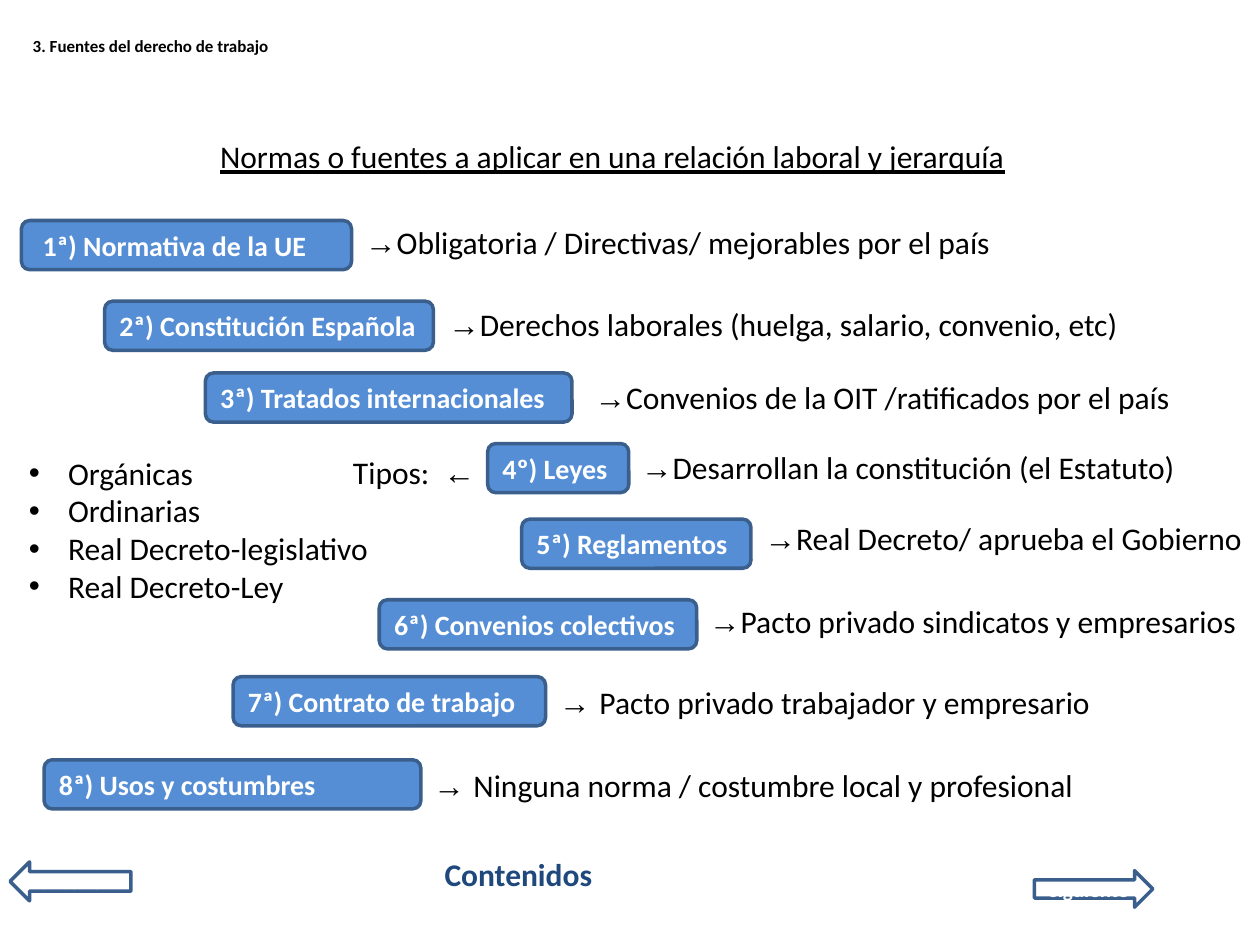
import pptx
import pptx.util
import pptx.dml.color
import pptx.enum.shapes
import pptx.enum.text
import lxml.etree

Inches = pptx.util.Inches
Pt = pptx.util.Pt
SHAPES = pptx.enum.shapes.MSO_SHAPE
ANCHOR = pptx.enum.text.MSO_ANCHOR
ALIGN = pptx.enum.text.PP_ALIGN

COLORS = {"box": "558ED5", "outline": "3A5F8C", "light": "FFFFFF",
          "text": "000000", "contents": "1F497D"}


def write(shape, parts, size, color, bold=False, align=ALIGN.LEFT, anchor=ANCHOR.TOP):
    """Fill the first paragraph with (text, font) runs."""
    frame = shape.text_frame
    frame.word_wrap = True
    frame.vertical_anchor = anchor
    paragraph = frame.paragraphs[0]
    paragraph.alignment = align
    for text, font in parts:
        run = paragraph.add_run()
        run.text = text
        run.font.name = font
        run.font.size = Pt(size)
        run.font.bold = bold
        run.font.color.rgb = pptx.dml.color.RGBColor.from_string(COLORS[color])
    return paragraph


def add_outlined(slide, kind, position, fill=None):
    """Add a preset shape with the common outline."""
    shape = slide.shapes.add_shape(kind, *map(Inches, position))
    shape.shadow.inherit = False
    if fill:
        shape.fill.solid()
        shape.fill.fore_color.rgb = pptx.dml.color.RGBColor.from_string(COLORS[fill])
    else:
        shape.fill.background()
    shape.line.color.rgb = pptx.dml.color.RGBColor.from_string(COLORS["outline"])
    shape.line.width = Pt(2)
    return shape


presentation = pptx.Presentation()
presentation.slide_width = Inches(10)
presentation.slide_height = Inches(7.5)
slide = presentation.slides.add_slide(presentation.slide_layouts[1])

# Section title
title = slide.shapes.title
title.left, title.top, title.width, title.height = map(Inches, (0.16, 0.05, 9, 0.63))
write(title, [("3. Fuentes del derecho de trabajo", "Calibri")], 9.7, "text",
      bold=True, anchor=ANCHOR.MIDDLE)

# Heading
heading = slide.shapes.add_textbox(*map(Inches, (1.53, 1.04, 6.66, 0.7)))
paragraph = write(heading, [("Normas o fuentes a aplicar en una relación laboral y jerarquía",
                             "Calibri")], 18, "text", align=ALIGN.CENTER)
paragraph.runs[0].font.underline = True

# Hierarchy: box label, left, top, width; description, left, top, width
norms = [
    (" 1ª) Normativa de la UE", 0.17, 1.75, 2.62,
     "→", "Obligatoria / Directivas/ mejorables por el país", 2.8, 1.72, 6.28),
    ("2ª) Constitución Española", 0.83, 2.39, 2.61,
     "→", "Derechos laborales (huelga, salario, convenio, etc)", 3.46, 2.37, 5.62),
    ("3ª) Tratados internacionales", 1.63, 2.96, 2.91,
     "→", "Convenios de la OIT /ratificados por el país", 4.62, 2.95, 4.95),
    ("4º) Leyes", 3.87, 3.52, 1.12,
     "→", "Desarrollan la constitución (el Estatuto)", 4.99, 3.51, 4.73),
    ("5ª) Reglamentos", 4.14, 4.12, 1.82,
     "→", "Real Decreto/ aprueba el Gobierno", 5.97, 4.07, 4.29),
    ("6ª) Convenios colectivos", 3.01, 4.76, 2.52,
     "→", "Pacto privado sindicatos y empresarios", 5.53, 4.73, 4.54),
    ("7ª) Contrato de trabajo", 1.85, 5.37, 2.48,
     "→ ", "Pacto privado trabajador y empresario", 4.34, 5.37, 4.54),
    ("8ª) Usos y costumbres", 0.35, 6.03, 2.99,
     "→ ", "Ninguna norma / costumbre local y profesional", 3.34, 6.03, 5.91),
]
for label, left, top, width, arrow, text, text_left, text_top, text_width in norms:
    box = add_outlined(slide, SHAPES.ROUNDED_RECTANGLE, (left, top, width, 0.39), "box")
    write(box, [(label, "Calibri")], 16, "light", bold=True, anchor=ANCHOR.MIDDLE)
    description = slide.shapes.add_textbox(*map(Inches, (text_left, text_top, text_width, 0.7)))
    write(description, [(arrow, "Arial"), (text, "Calibri")], 18, "text")

# Types of laws
law_types = slide.placeholders[1]
law_types.left, law_types.top, law_types.width, law_types.height = map(
    Inches, (0.13, 3.55, 3.74, 1.9))
frame = law_types.text_frame
frame.text = "Orgánicas\nOrdinarias\nReal Decreto-legislativo\nReal Decreto-Ley"
frame.auto_size = pptx.enum.text.MSO_AUTO_SIZE.NONE
for paragraph in frame.paragraphs:
    paragraph.space_before = Pt(0)
    paragraph.font.size = Pt(18)
    paragraph.runs[0].font.size = Pt(18)
    paragraph.runs[0].font.name = "Calibri"
    paragraph.runs[0].font.color.rgb = pptx.dml.color.RGBColor.from_string(COLORS["text"])
    properties = paragraph._p.get_or_add_pPr()
    properties.set("marL", str(Inches(0.31)))
    properties.set("indent", str(-Inches(0.31)))
    for tag, name, value in (("buFont", "typeface", "Arial"), ("buChar", "char", "•")):
        bullet = lxml.etree.Element(pptx.oxml.ns.qn("a:" + tag))
        bullet.set(name, value)
        properties.insert_element_before(bullet, "a:tabLst", "a:defRPr", "a:extLst")

types_label = slide.shapes.add_textbox(*map(Inches, (2.6, 3.55, 1.27, 0.4)))
write(types_label, [("Tipos:  ", "Calibri"), ("←", "Arial")], 18, "text", align=ALIGN.RIGHT)

# Navigation
contents = slide.shapes.add_textbox(*map(Inches, (3.43, 6.74, 1.44, 0.7)))
write(contents, [("Contenidos", "Calibri")], 18, "contents", bold=True)
for kind, text, position in ((SHAPES.LEFT_ARROW, "anterior", (0.08, 6.84, 0.96, 0.31)),
                             (SHAPES.RIGHT_ARROW, "siguiente", (8.21, 6.91, 0.94, 0.29))):
    arrow = add_outlined(slide, kind, position)
    write(arrow, [(text, "Calibri")], 12, "light", bold=True,
          align=ALIGN.CENTER, anchor=ANCHOR.MIDDLE)

presentation.save("out.pptx")
